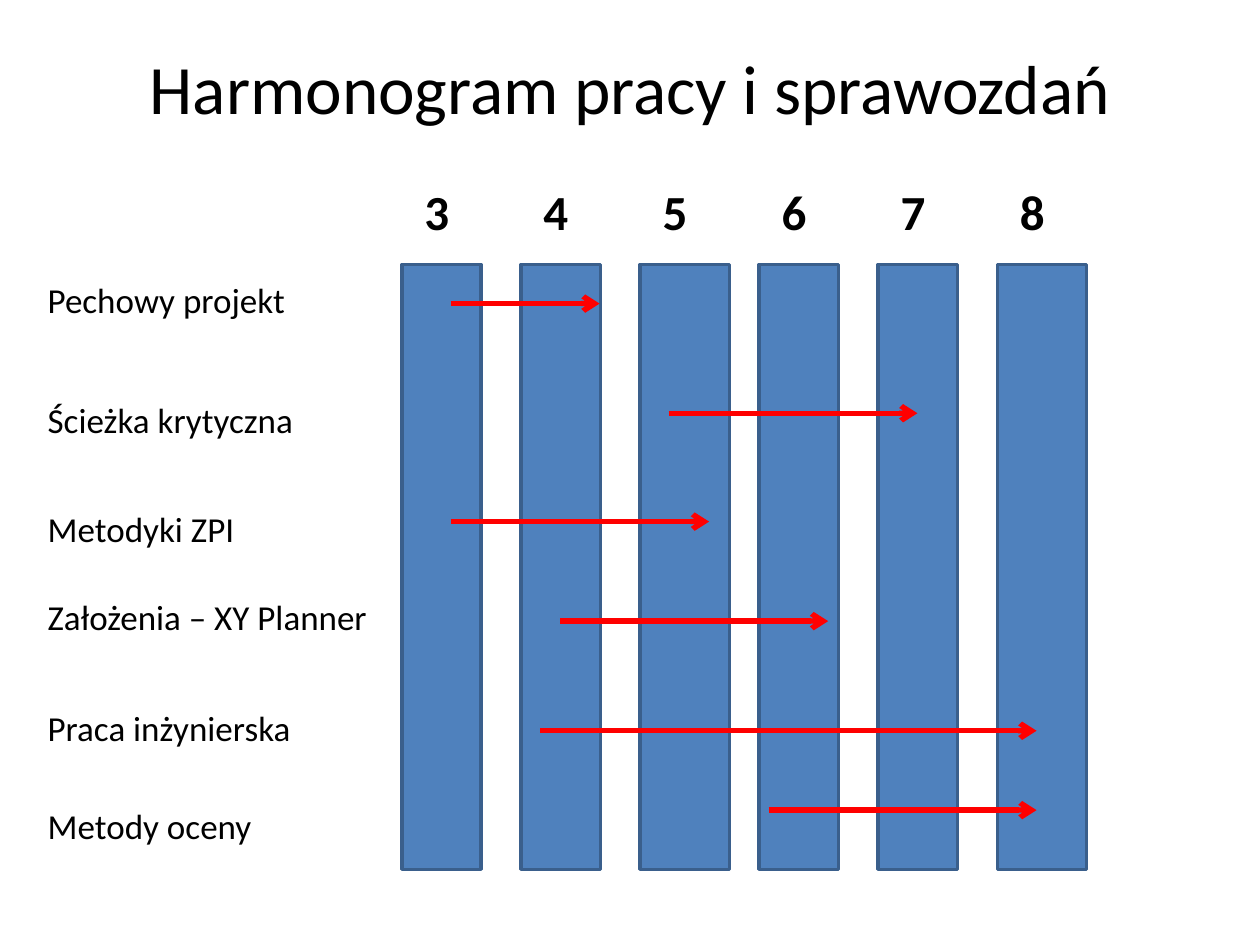
from dataclasses import dataclass

import pptx
import pptx.dml.color
import pptx.enum.shapes
import pptx.enum.text
import pptx.oxml.ns
import pptx.util
from lxml import etree


@dataclass(frozen=True)
class Theme:
    font: str = "Calibri"
    text: str = "000000"
    bar: str = "4F81BD"
    border: str = "3A5F8C"
    arrow: str = "FF0000"
    title_size: float = 39.6
    week_size: float = 28
    label_size: float = 20
    border_width: float = 2
    arrow_width: float = 3


@dataclass(frozen=True)
class Grid:
    width: float = 10
    height: float = 7.5
    left: float = 3.19
    pitch: float = 0.945
    bar_top: float = 2.1
    bar_height: float = 4.8
    week_top: float = 1.39
    label_left: float = 0.28

    def x(self, column: float) -> float:
        return self.left + column * self.pitch

    def y(self, percent: float) -> float:
        return self.height * percent / 100


@dataclass(frozen=True)
class Week:
    number: int
    bar_width: float = 0.63


@dataclass(frozen=True)
class Task:
    name: str
    label_width: float
    label_top: float
    arrow_top: float
    start: float
    end: float


THEME = Theme()
GRID = Grid()
WEEKS = [Week(3), Week(4), Week(5, 0.71), Week(6), Week(7), Week(8, 0.71)]
TASKS = [
    Task("Pechowy projekt", 2.2, 28.8, 32.13, 0.41, 1.66),
    Task("Ścieżka krytyczna", 2.99, 41.47, 43.73, 2.24, 4.33),
    Task("Metodyki ZPI", 2.68, 53.07, 55.2, 0.41, 2.58),
    Task("Założenia – XY Planner", 2.76, 62.4, 65.73, 1.33, 3.58),
    Task("Praca inżynierska", 2.44, 74.13, 77.33, 1.16, 5.33),
    Task("Metody oceny", 2.28, 84.53, 85.73, 3.08, 5.33),
]


def inches(*values: float) -> list:
    return [pptx.util.Inches(v) for v in values]


def rgb(value: str) -> pptx.dml.color.RGBColor:
    return pptx.dml.color.RGBColor.from_string(value)


def set_font(p, size: float, bold: bool = False) -> None:
    p.font.name = THEME.font
    p.font.size = pptx.util.Pt(size)
    p.font.bold = bold
    p.font.color.rgb = rgb(THEME.text)


def add_title(s, text: str) -> None:
    sp = s.shapes.title
    sp.left, sp.top, sp.width, sp.height = inches(0.5, 0.3, 9, 0.77)
    tf = sp.text_frame
    tf.text = text
    tf.vertical_anchor = pptx.enum.text.MSO_ANCHOR.MIDDLE
    p = tf.paragraphs[0]
    p.alignment = pptx.enum.text.PP_ALIGN.CENTER
    set_font(p, THEME.title_size)


def add_text(s, text: str, box: tuple, size: float, bold: bool = False) -> None:
    tf = s.shapes.add_textbox(*inches(*box)).text_frame
    tf.word_wrap = True
    tf.auto_size = pptx.enum.text.MSO_AUTO_SIZE.SHAPE_TO_FIT_TEXT
    tf.text = text
    set_font(tf.paragraphs[0], size, bold)


def add_week(s, column: int, week: Week) -> None:
    x = GRID.x(column)
    sp = s.shapes.add_shape(
        pptx.enum.shapes.MSO_SHAPE.RECTANGLE,
        *inches(x, GRID.bar_top, week.bar_width, GRID.bar_height),
    )
    sp.shadow.inherit = False
    sp.fill.solid()
    sp.fill.fore_color.rgb = rgb(THEME.bar)
    sp.line.color.rgb = rgb(THEME.border)
    sp.line.width = pptx.util.Pt(THEME.border_width)
    box = (x + 0.08, GRID.week_top, 0.79, 0.57)
    add_text(s, str(week.number), box, THEME.week_size, bold=True)


def add_arrow(s, task: Task) -> None:
    y = GRID.y(task.arrow_top)
    sp = s.shapes.add_connector(
        pptx.enum.shapes.MSO_CONNECTOR.STRAIGHT,
        *inches(GRID.x(task.start), y, GRID.x(task.end), y),
    )
    sp.line.color.rgb = rgb(THEME.arrow)
    sp.line.width = pptx.util.Pt(THEME.arrow_width)
    qn = pptx.oxml.ns.qn
    etree.SubElement(sp.line._get_or_add_ln(), qn("a:tailEnd"), type="arrow")
    etree.SubElement(sp._element.spPr, qn("a:effectLst"))


def main() -> None:
    prs = pptx.Presentation()
    prs.slide_width, prs.slide_height = inches(GRID.width, GRID.height)
    s = prs.slides.add_slide(prs.slide_layouts[5])
    add_title(s, "Harmonogram pracy i sprawozdań")
    for task in TASKS:
        box = (GRID.label_left, GRID.y(task.label_top), task.label_width, 0.44)
        add_text(s, task.name, box, THEME.label_size)
    for column, week in enumerate(WEEKS):
        add_week(s, column, week)
    for task in TASKS:
        add_arrow(s, task)
    prs.save("out.pptx")


if __name__ == "__main__":
    main()
